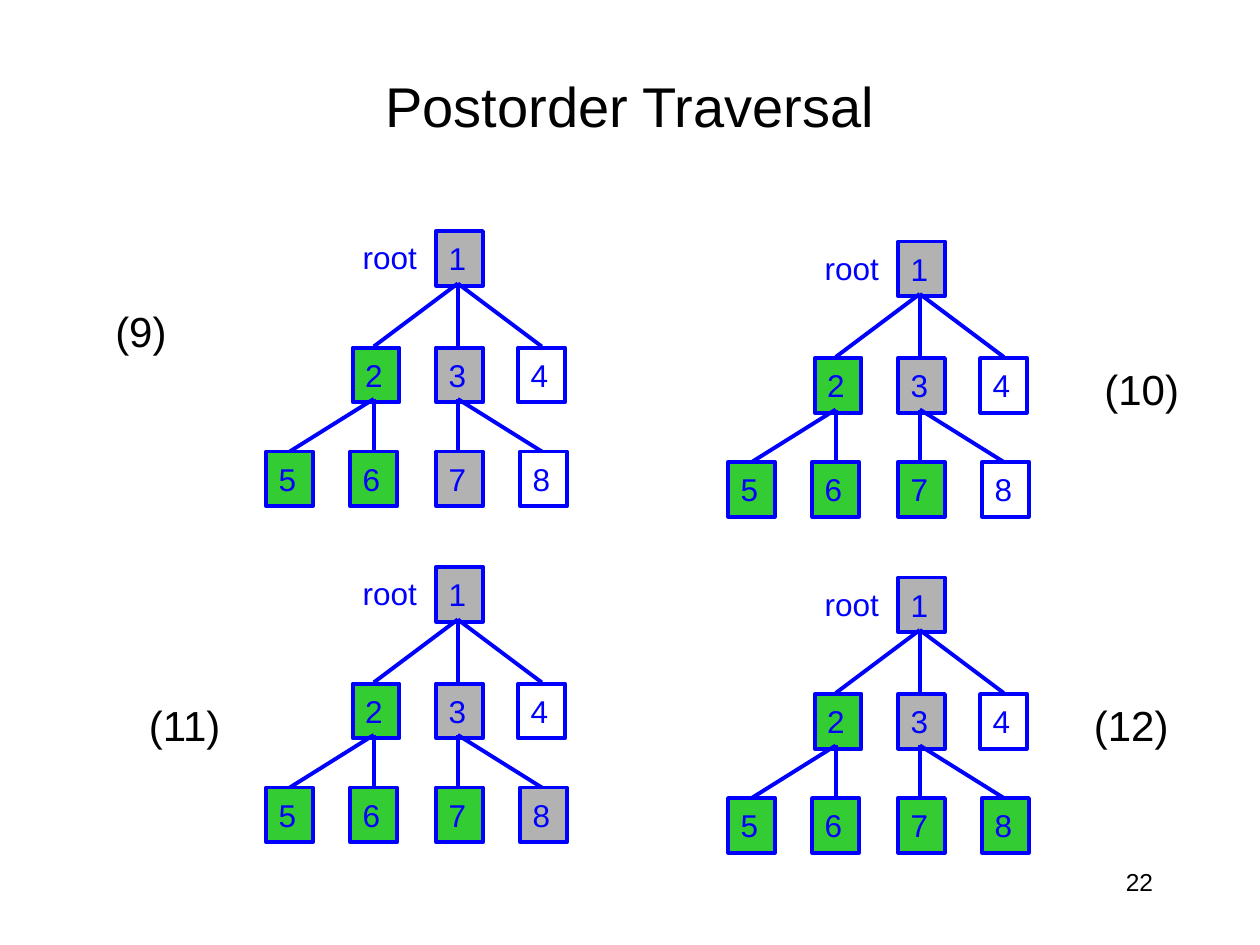
from lxml import etree
from pptx import Presentation
from pptx.dml.color import RGBColor
from pptx.enum.shapes import MSO_CONNECTOR, MSO_SHAPE
from pptx.enum.text import MSO_ANCHOR, PP_ALIGN
from pptx.oxml.ns import qn
from pptx.util import Inches, Pt

RECT = MSO_SHAPE.RECTANGLE
LINE = MSO_CONNECTOR.STRAIGHT
TOP, MID = MSO_ANCHOR.TOP, MSO_ANCHOR.MIDDLE
LEFT, CENTER, RIGHT = PP_ALIGN.LEFT, PP_ALIGN.CENTER, PP_ALIGN.RIGHT

COLORS = {"ink": "000000", "blue": "0000FF", "done": "33CC33", "seen": "B2B2B2"}
FONT = "Arial"

# Grid of 120 columns by 90 rows
CELL = Inches(10) // 120
NODE = (4.45, 5.2)

# Node positions and edges, in cells from the tree's corner
NODES = {
    "1": (16.2, 0), "2": (8.25, 11.1), "3": (16.2, 11.1), "4": (24, 11.1),
    "5": (0, 21), "6": (8, 21), "7": (16.2, 21), "8": (24.2, 21),
}
JOINTS = [2.25 + 8 * i for i in range(4)]
EDGES = [(2, 1, 5, 11), (2, 2, 5, 11), (2, 3, 5, 11),
         (1, 0, 16, 21), (1, 1, 16, 21), (2, 2, 16, 21), (2, 3, 16, 21)]

# Tree corner, finished nodes, visited nodes
TREES = [
    (25.35, 22, "256", "137"),
    (69.35, 23, "2567", "13"),
    (25.35, 54, "2567", "138"),
    (69.35, 55, "25678", "13"),
]
STEPS = [("(9)", 9.8, 28.5, 7.3), ("(10)", 104, 34, 9.6),
         ("(11)", 13, 66, 9.6), ("(12)", 103, 66, 9.6)]


def rgb(name):
    return RGBColor.from_string(COLORS[name])


def grid(*cells):
    return [round(c * CELL) for c in cells]


def write(shape, text, size, color, align=LEFT, anchor=MID, wrap=False):
    frame = shape.text_frame
    frame.word_wrap = wrap
    frame.vertical_anchor = anchor
    para = frame.paragraphs[0]
    para.alignment = align
    run = para.add_run()
    run.text = text
    run.font.name = FONT
    run.font.size = Pt(size)
    run.font.color.rgb = rgb(color)


def label(slide, box, text, size, color, **style):
    write(slide.shapes.add_textbox(*grid(*box)), text, size, color, **style)


def stroke(line):
    line.color.rgb = rgb("blue")
    line.width = Pt(2.25)


def node(slide, x, y, text, fill):
    shape = slide.shapes.add_shape(RECT, *grid(x, y, *NODE))
    shape.shadow.inherit = False
    if fill:
        shape.fill.solid()
        shape.fill.fore_color.rgb = rgb(fill)
    else:
        shape.fill.background()
    stroke(shape.line)
    write(shape, text, 18, "blue")


def edge(slide, x1, y1, x2, y2):
    link = slide.shapes.add_connector(LINE, *grid(x1, y1, x2, y2))
    stroke(link.line)
    etree.SubElement(link._element.spPr, qn("a:effectLst"))


def tree(slide, x, y, done, seen):
    for text, (dx, dy) in NODES.items():
        fill = "done" if text in done else "seen" if text in seen else None
        node(slide, x + dx, y + dy, text, fill)
    for start, end, top, low in EDGES:
        edge(slide, x + JOINTS[start], y + top, x + JOINTS[end], y + low)
    label(slide, (x + 8, y + 0.1, 7.6, 4.8), "root", 18, "blue")


def heading(slide, box, text):
    title = slide.shapes.title
    title.left, title.top, title.width, title.height = grid(*box)
    write(title, text, 32, "ink", align=CENTER, wrap=True)


def main():
    deck = Presentation()
    deck.slide_width, deck.slide_height = grid(120, 90)
    slide = deck.slides.add_slide(deck.slide_layouts[5])

    # Title and page number
    heading(slide, (9, 5, 102, 10), "Postorder Traversal")
    label(slide, (86, 82, 25, 6), "22", 14, "ink",
          align=RIGHT, anchor=TOP, wrap=True)

    # Four stages of the traversal
    for stage in TREES:
        tree(slide, *stage)
    for text, x, y, width in STEPS:
        label(slide, (x, y, width, 6), text, 24, "ink")

    deck.save("out.pptx")


main()
